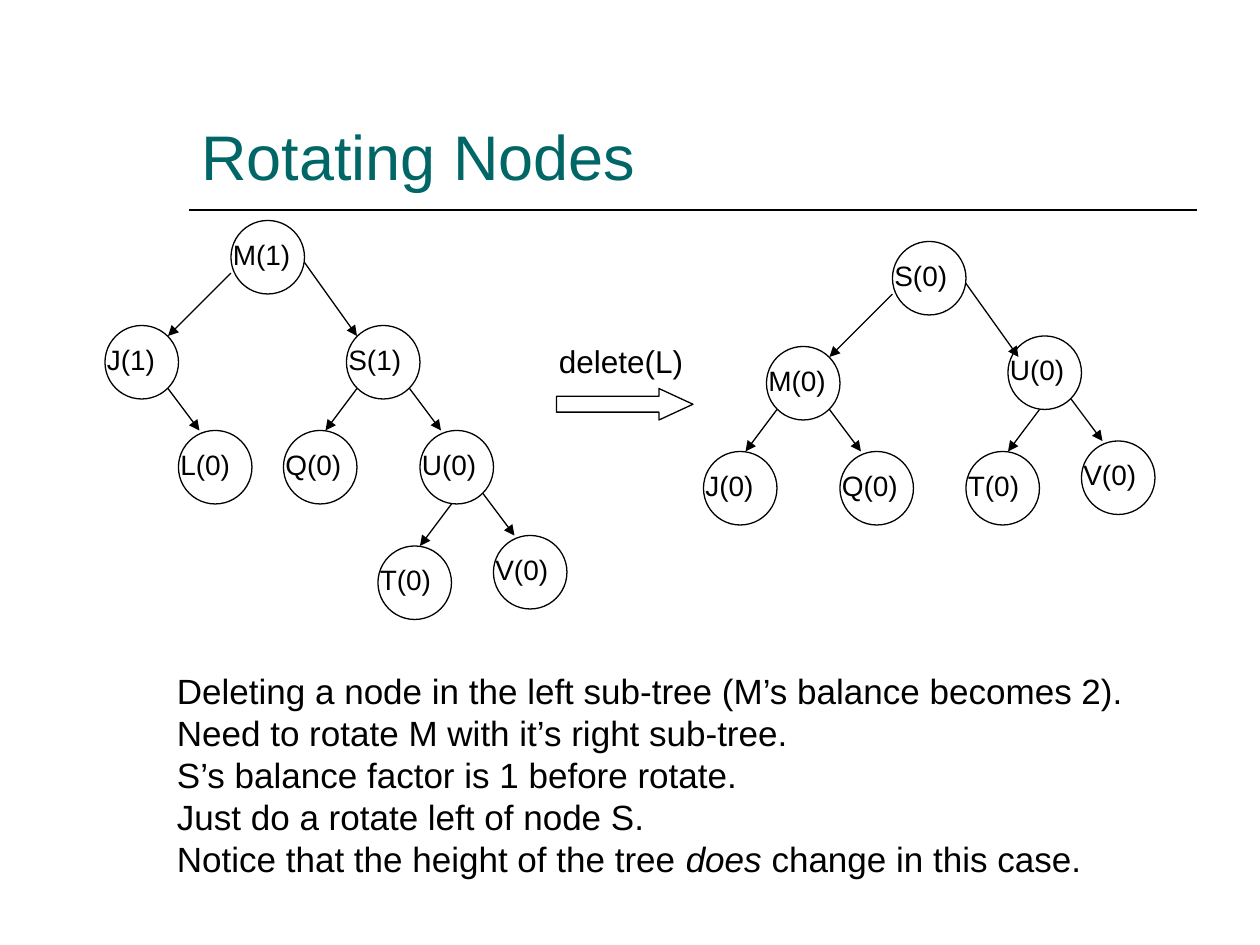
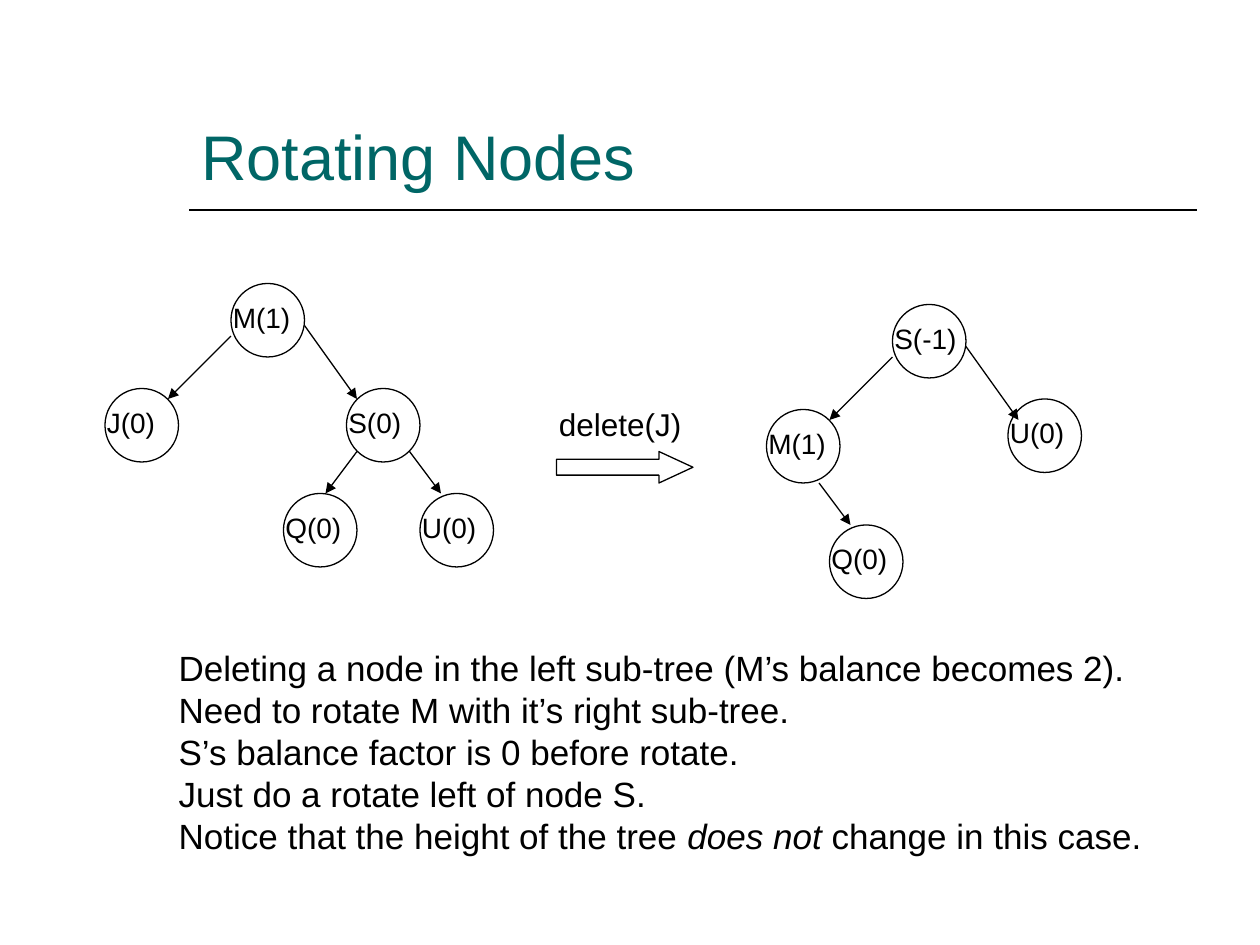
import pptx
import pptx.util
import pptx.dml.color
import pptx.enum.shapes
import pptx.enum.text
from lxml import etree

Pt = pptx.util.Pt
SHAPES = pptx.enum.shapes.MSO_SHAPE

# Shared look
COLORS = {"title": "006666", "ink": "000000"}
FONT = "Arial"
TITLE = "Rotating Nodes"
NODE = 42

# Each branch: start measured from its parent node, then the arrow's run
BRANCHES = {
    "wide left": ((0, 30), (-36, 36)),
    "wide right": ((42, 24), (30, 42)),
    "left": ((6, 36), (-18, 24)),
    "right": ((36, 36), (18, 24)),
    "low left": ((18, 42), (-18, 24)),
    "low right": ((30, 42), (18, 24)),
}

# Slides: nodes are (label, left, top, branches)
SLIDES = [
    {
        "nodes": [
            ("M(1)", 132, 126, ["wide left", "wide right"]),
            ("J(1)", 60, 186, ["right"]),
            ("S(1)", 198, 186, ["left", "right"]),
            ("L(0)", 102, 246, []),
            ("Q(0)", 162, 246, []),
            ("U(0)", 240, 246, ["low left", "right"]),
            ("T(0)", 216, 312, []),
            ("V(0)", 282, 306, []),
            ("S(0)", 510, 138, ["wide left", "wide right"]),
            ("M(0)", 438, 198, ["left", "right"]),
            ("U(0)", 576, 192, ["low left", "right"]),
            ("J(0)", 402, 258, []),
            ("Q(0)", 480, 258, []),
            ("T(0)", 552, 258, []),
            ("V(0)", 618, 252, []),
        ],
        "operation": ("delete(L)", 192),
        "notes_at": (94, 379),
        "balance": 1,
        "height": "does",
    },
    {
        "nodes": [
            ("M(1)", 132, 162, ["wide left", "wide right"]),
            ("J(0)", 60, 222, []),
            ("S(0)", 198, 222, ["left", "right"]),
            ("Q(0)", 162, 282, []),
            ("U(0)", 240, 282, []),
            ("S(-1)", 510, 174, ["wide left", "wide right"]),
            ("M(1)", 438, 234, ["low right"]),
            ("U(0)", 576, 228, []),
            ("Q(0)", 474, 300, []),
        ],
        "operation": ("delete(J)", 228),
        "notes_at": (95, 366),
        "balance": 0,
        "height": "does not",
    },
]

# Notes: words between asterisks are italic
NOTES = [
    "Deleting a node in the left sub-tree (M’s balance becomes 2).",
    "Need to rotate M with it’s right sub-tree.",
    "S’s balance factor is {balance} before rotate.",
    "Just do a rotate left of node S.",
    "Notice that the height of the tree *{height}* change in this case.",
]


def rgb(name):
    return pptx.dml.color.RGBColor.from_string(COLORS[name])


def add_text(page, lines, left, top, width, height, size, color="ink"):
    box = page.shapes.add_textbox(Pt(left), Pt(top), Pt(width), Pt(height))
    frame = box.text_frame
    frame.word_wrap = True
    for index, line in enumerate(lines):
        para = frame.add_paragraph() if index else frame.paragraphs[0]
        for part, words in enumerate(line.split("*")):
            span = para.add_run()
            span.text = words
            span.font.name = FONT
            span.font.size = Pt(size)
            span.font.color.rgb = rgb(color)
            if part % 2:
                span.font.italic = True
    return frame


def add_line(page, start, run, width, arrow=False):
    (x, y), (across, down) = start, run
    line = page.shapes.add_connector(
        pptx.enum.shapes.MSO_CONNECTOR.STRAIGHT,
        Pt(x), Pt(y), Pt(x + across), Pt(y + down))
    line.line.color.rgb = rgb("ink")
    line.line.width = Pt(width)
    namespace = "{http://schemas.openxmlformats.org/drawingml/2006/main}"
    if arrow:
        outline = line.line._get_or_add_ln()
        etree.SubElement(outline, namespace + "tailEnd", type="triangle")
    etree.SubElement(line._element.spPr, namespace + "effectLst")


def add_outline(page, kind, left, top, width, height):
    shape = page.shapes.add_shape(kind, Pt(left), Pt(top), Pt(width), Pt(height))
    shape.shadow.inherit = False
    shape.fill.background()
    shape.line.color.rgb = rgb("ink")
    shape.line.width = Pt(0.75)
    return shape


def add_node(page, label, left, top, branches):
    add_outline(page, SHAPES.OVAL, left, top, NODE, NODE)
    add_text(page, [label], left - 6, top + 6, NODE + 12, 26.6, 16)
    for branch in branches:
        (across, down), run = BRANCHES[branch]
        add_line(page, (left + across, top + down), run, 0.75, arrow=True)


def add_slide(deck, content):
    page = deck.slides.add_slide(deck.slide_layouts[6])

    # Title and rule
    add_line(page, (108, 120), (576, 0), 1)
    title = add_text(page, [TITLE], 108, 24, 576, 90, 36, "title")
    title.vertical_anchor = pptx.enum.text.MSO_ANCHOR.BOTTOM

    # Trees before and after
    for node in content["nodes"]:
        add_node(page, *node)

    # Operation between them
    operation, top = content["operation"]
    arrow = add_outline(page, SHAPES.RIGHT_ARROW, 318, top + 30, 78, 18)
    arrow.adjustments[1] = 1.08
    add_text(page, [operation], 312.3, top, 92, 28.8, 18)

    # Explanation
    notes = [note.format(**content) for note in NOTES]
    add_text(page, notes, *content["notes_at"], 580, 127.4, 20)


def main():
    deck = pptx.Presentation()
    deck.slide_width, deck.slide_height = Pt(720), Pt(540)
    for content in SLIDES:
        add_slide(deck, content)
    deck.save("out.pptx")


if __name__ == "__main__":
    main()
